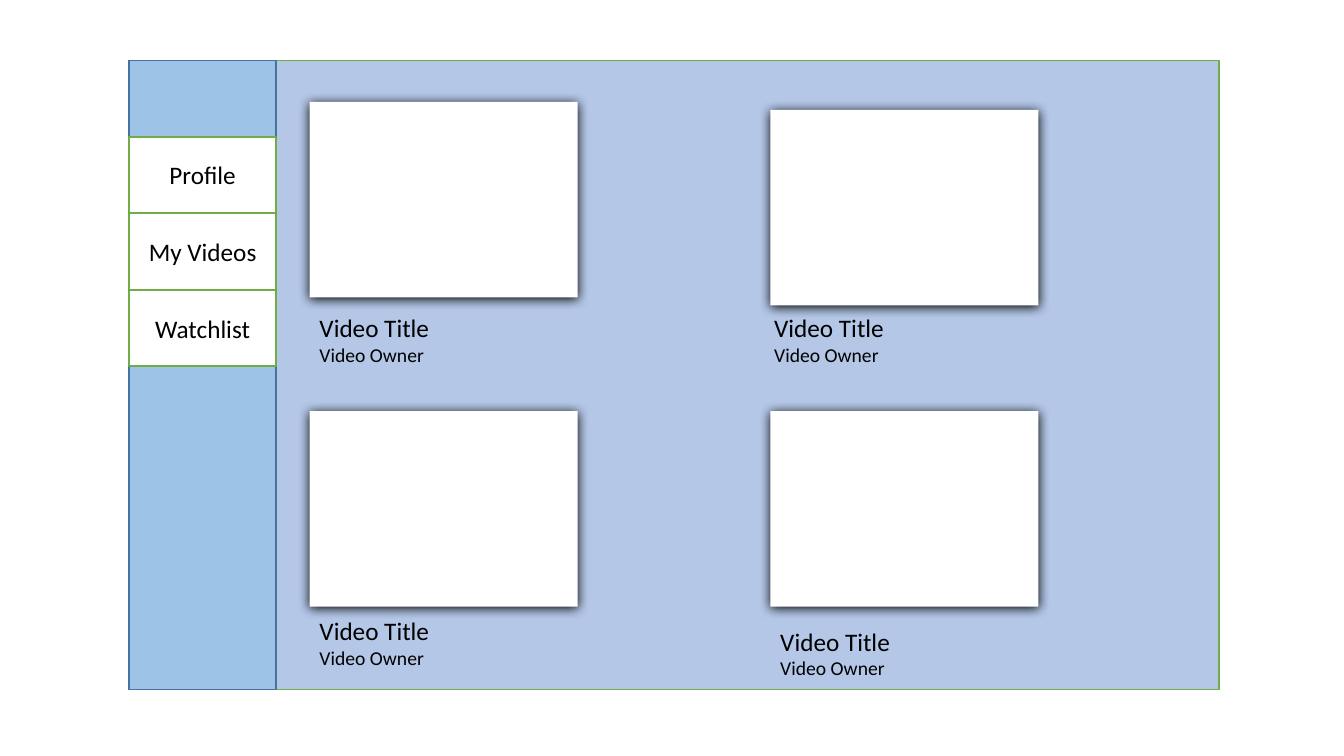
from lxml.etree import SubElement
from pptx import Presentation
from pptx.dml.color import RGBColor
from pptx.enum.shapes import MSO_SHAPE as Shape
from pptx.enum.text import MSO_ANCHOR as Anchor, MSO_AUTO_SIZE as AutoSize, PP_ALIGN as Align
from pptx.oxml.ns import qn
from pptx.util import Inches, Pt

MENU = ["Profile", "My Videos", "Watchlist"]
CAPTION = [("Video Title", 18), ("Video Owner", 14)]
VIDEOS = [
    {"thumb": (3.07, 1.01), "caption": (3.07, 3.05)},
    {"thumb": (7.64, 1.09), "caption": (7.58, 3.05)},
    {"thumb": (3.07, 4.08), "caption": (3.07, 6.06)},
    {"thumb": (7.64, 4.08), "caption": (7.64, 6.16)},
]
LEFT, TOP, WIDTH, HEIGHT = 1.28, 0.6, 10.81, 6.24
MENU_WIDTH, MENU_TOP, MENU_STEP, ITEM_HEIGHT = 1.46, 1.36, 0.76, 0.75
THUMB_SIZE, CAPTION_SIZE = (2.66, 1.94), (2.15, 0.64)
WHITE, BLACK, GREEN = "FFFFFF", "000000", "70AD47"
SHADOW = {"blurRad": Pt(8.5), "dist": Pt(1), "dir": 90 * 60000, "algn": "ctr", "rotWithShape": 0}


def color(value):
    """Turn a hex string into a colour."""
    return RGBColor.from_string(value)


def add_panel(page, place, fill, line=None):
    """Add a flat rectangle, outlined when a line colour is given."""
    panel = page.shapes.add_shape(Shape.RECTANGLE, *map(Inches, place))
    panel.shadow.inherit = False
    panel.fill.solid()
    panel.fill.fore_color.rgb = color(fill)
    if line:
        panel.line.color.rgb = color(line)
        panel.line.width = Pt(1)
    else:
        panel.line.fill.background()
    return panel


def add_shadow(panel):
    """Give a panel a soft black shadow."""
    effects = panel.element.spPr.find(qn("a:effectLst"))
    attributes = {name: str(value) for name, value in SHADOW.items()}
    shadow = SubElement(effects, qn("a:outerShdw"), attributes)
    SubElement(shadow, qn("a:srgbClr"), val=BLACK)


def add_span(para, text, size):
    """Add a run of black text."""
    span = para.add_run()
    span.text = text
    for name, value in {"name": "Calibri", "size": Pt(size)}.items():
        setattr(span.font, name, value)
    span.font.color.rgb = color(BLACK)


def add_caption(page, place):
    """Add the title and owner of a video."""
    frame = page.shapes.add_textbox(*map(Inches, place)).text_frame
    for name, value in {"word_wrap": True, "auto_size": AutoSize.SHAPE_TO_FIT_TEXT}.items():
        setattr(frame, name, value)
    para = frame.paragraphs[0]
    for index, (text, size) in enumerate(CAPTION):
        if index:
            para.add_line_break()
        add_span(para, text, size)


def add_menu_item(page, index, text):
    """Add one centred button of the side menu."""
    place = (LEFT, MENU_TOP + index * MENU_STEP, MENU_WIDTH, ITEM_HEIGHT)
    frame = add_panel(page, place, WHITE, GREEN).text_frame
    frame.vertical_anchor = Anchor.MIDDLE
    para = frame.paragraphs[0]
    para.alignment = Align.CENTER
    add_span(para, text, 18)


deck = Presentation()
deck.slide_width, deck.slide_height = Inches(13.33), Inches(7.5)
page = deck.slides.add_slide(deck.slide_layouts[6])
add_panel(page, (LEFT, TOP, WIDTH, HEIGHT), "B4C7E7", GREEN)
for video in VIDEOS:
    add_shadow(add_panel(page, video["thumb"] + THUMB_SIZE, WHITE))
    add_caption(page, video["caption"] + CAPTION_SIZE)
add_panel(page, (LEFT, TOP, MENU_WIDTH, HEIGHT), "9DC3E6", "43739E")
for index, text in enumerate(MENU):
    add_menu_item(page, index, text)
deck.save("out.pptx")
